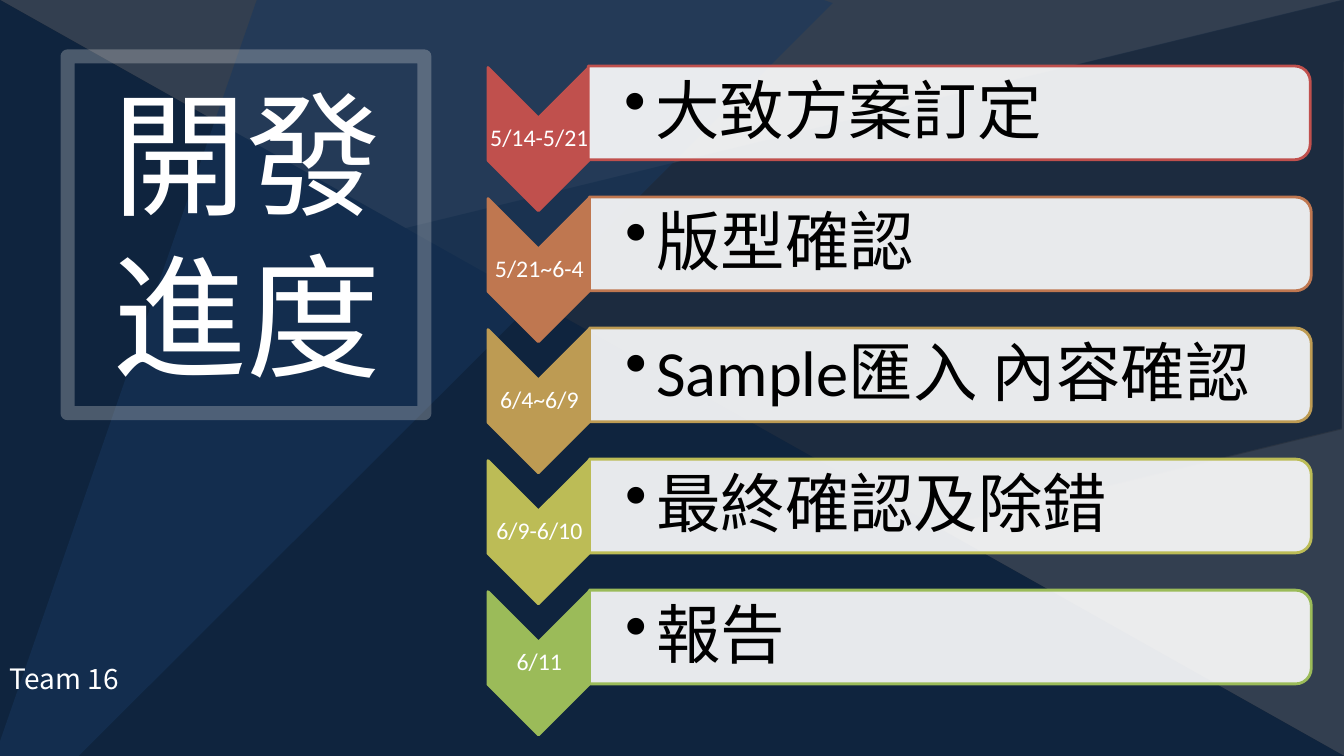
from lxml.etree import SubElement
from pptx import Presentation
from pptx.dml.color import RGBColor
from pptx.enum.shapes import MSO_SHAPE as Shape
from pptx.enum.text import MSO_ANCHOR as Anchor, MSO_AUTO_SIZE as AutoSize, PP_ALIGN as Align
from pptx.oxml.ns import qn
from pptx.util import Inches, Pt

WIDTH, HEIGHT = 13.33, 7.5
ROW_PITCH = 1.3
NAVY, BLUE, SLATE, CHARCOAL = "0F243E", "17375E", "333F50", "222A35"
FACETS = [
    ([(0, 7.5), (13.33, 7.5), (13.33, 0), (0, 0)], SLATE, 100),
    ([(0, 0), (0, 7.5), (13.33, 7.5)], CHARCOAL, 100),
    ([(13.33, 0), (0.02, 3.24), (0, 5.91), (0, 7.5), (13.31, 4.26)], CHARCOAL, 50),
    ([(8.19, 0), (2.55, 0), (0, 7.36), (0, 7.5), (0.78, 7.5), (8.27, 0.03)], SLATE, 50),
]
SCHEDULE = [
    ("5/14-5/21", "大致方案訂定", "C0504D", 5.83),
    ("5/21~6-4", "版型確認", "BF7750", 5.84),
    ("6/4~6/9", "Sample匯入 內容確認", "BD9B53", 5.84),
    ("6/9-6/10", "最終確認及除錯", "BCBC56", 5.84),
    ("6/11", "報告", "9BBB59", 5.84),
]


class SlideBuilder:
    """Draws styled elements on the current slide."""

    def __init__(self, deck):
        self.page = deck.slides.add_slide(deck.slide_layouts[5])
        self.shapes = self.page.shapes
        self.font = "Calibri"
        self.paint(self.page.background.fill, BLUE)

    def color(self, value):
        return RGBColor.from_string(value)

    def paint(self, fill, color, alpha=100):
        fill.solid()
        fill.fore_color.rgb = self.color(color)
        if alpha < 100:
            tone = fill._xPr.find(".//" + qn("a:srgbClr"))
            SubElement(tone, qn("a:alpha"), val=str(alpha * 1000))

    def finish(self, shape, fill=None, alpha=100, line=None, weight=2, line_alpha=100):
        shape.shadow.inherit = False
        if fill:
            self.paint(shape.fill, fill, alpha)
        else:
            shape.fill.background()
        if line:
            shape.line.width = Pt(weight)
            self.paint(shape.line.fill, line, line_alpha)
        else:
            shape.line.fill.background()

    def facet(self, points, color, alpha):
        corners = [(Inches(x), Inches(y)) for x, y in points]
        outline = self.shapes.build_freeform(*corners[0])
        outline.add_line_segments(corners[1:], close=True)
        self.finish(outline.convert_to_shape(), color, alpha)

    def preset(self, kind, box, rotation=0, adjust=None, **style):
        shape = self.shapes.add_shape(kind, *map(Inches, box))
        shape.rotation = rotation
        if adjust is not None:
            shape.adjustments[0] = adjust
        self.finish(shape, **style)

    def fill_text(self, frame, text, size, color, margins, layout, font=None, **paragraph):
        settings = {"word_wrap": True, "auto_size": AutoSize.NONE, **layout}
        sides = ("margin_left", "margin_top", "margin_right", "margin_bottom")
        settings.update(zip(sides, map(Inches, margins)))
        for name, value in settings.items():
            setattr(frame, name, value)
        para = frame.paragraphs[0]
        for name, value in paragraph.items():
            setattr(para, name, value)
        span = para.add_run()
        span.text = text
        for name, value in {"name": font or self.font, "size": Pt(size)}.items():
            setattr(span.font, name, value)
        span.font.color.rgb = self.color(color)
        return para

    def label(self, box, text, size, color, margins=(0.1, 0.05, 0.1, 0.05),
              anchor=Anchor.TOP, **options):
        frame = self.shapes.add_textbox(*map(Inches, box)).text_frame
        layout = {"vertical_anchor": anchor}
        return self.fill_text(frame, text, size, color, margins, layout, **options)

    def bullet(self, para, indent):
        props = para._p.get_or_add_pPr()
        props.set("marL", str(Inches(indent)))
        props.set("indent", str(-Inches(indent)))
        SubElement(props, qn("a:buChar"), char="•")

    def title(self, box, text, size, color):
        title = self.shapes.title
        self.shapes._spTree.append(title._element)
        for name, value in zip(("left", "top", "width", "height"), box):
            setattr(title, name, Inches(value))
        self.fill_text(title.text_frame, text, size, color, (0.1, 0.05, 0.1, 0.05),
                       {"vertical_anchor": Anchor.TOP}, alignment=Align.CENTER)

    def stage(self, row, dates, task, color, left):
        offset = row * ROW_PITCH
        self.preset(Shape.CHEVRON, (4.63, 0.88 + offset, 1.42, 1), 90, fill=color, line=color)
        self.label((4.85, 1.16 + offset, 1, 0.43), dates, 17, "FFFFFF", (0.01,) * 4,
                   Anchor.MIDDLE, alignment=Align.CENTER, line_spacing=0.9)
        self.preset(Shape.ROUND_2_SAME_RECTANGLE, (left + 3.12, -2.46 + offset, 0.93, 7.16), 90,
                    fill="FFFFFF", alpha=90, line=color)
        para = self.label((left, 0.71 + offset, 7.12, 0.83), task, 46, "000000",
                          (0.36, 0.03, 0.03, 0.03), Anchor.MIDDLE, line_spacing=0.9)
        self.bullet(para, 0.31)


def main():
    deck = Presentation()
    deck.slide_width, deck.slide_height = Inches(WIDTH), Inches(HEIGHT)
    slide = SlideBuilder(deck)
    for facet in FACETS:
        slide.facet(*facet)
    slide.preset(Shape.ISOSCELES_TRIANGLE, (0, 0, WIDTH, HEIGHT), adjust=0, fill=NAVY)
    slide.preset(Shape.PARALLELOGRAM, (-0.71, 1.68, 14.74, 4.13), 346.3, fill=NAVY, alpha=50)
    slide.preset(Shape.ISOSCELES_TRIANGLE, (1.18, -1.16, 5.41, 11.12), 199.1, 1,
                 fill=BLUE, alpha=50)
    slide.preset(Shape.RECTANGLE, (0.67, 0.56, 3.54, 3.54),
                 line="D9D9D9", weight=10, line_alpha=30)
    slide.title((0.86, 0.66, 3.17, 3.33), "開發進度", 96, "FFFFFF")
    for row, stage in enumerate(SCHEDULE):
        slide.stage(row, *stage)
    slide.label((0, 6.41, WIDTH, 0.5), "Team 16", 20, "FFFFFF",
                font="Noto Sans CJK SC", line_spacing=1.3)
    deck.save("out.pptx")


if __name__ == "__main__":
    main()
